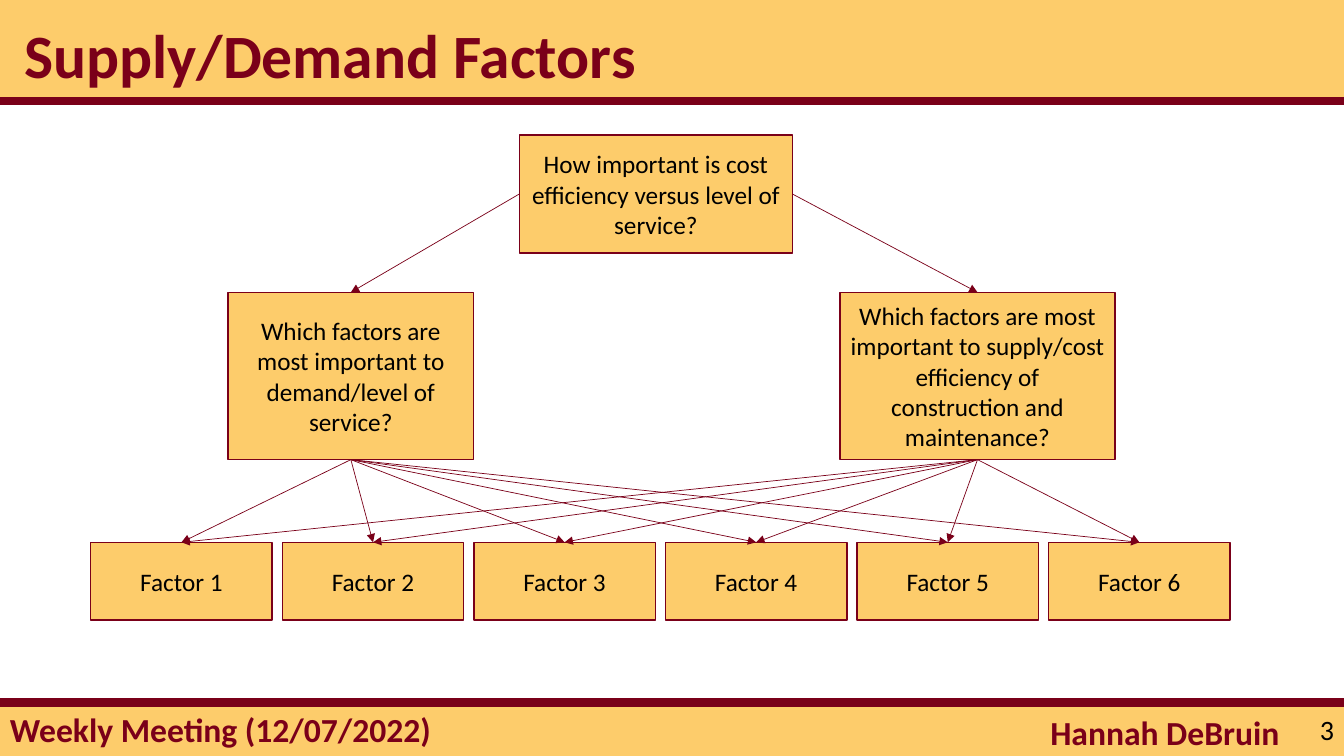
from lxml.etree import SubElement
from pptx import Presentation
from pptx.dml.color import RGBColor
from pptx.enum.shapes import MSO_CONNECTOR as Connector, MSO_SHAPE as Shape
from pptx.enum.text import MSO_ANCHOR as Anchor, MSO_AUTO_SIZE as AutoSize, PP_ALIGN as Align
from pptx.oxml.ns import qn
from pptx.util import Inches, Pt

TOP, LEFT, BOTTOM, RIGHT = range(4)
WIDTH, HEIGHT = 13.33, 7.5
HEADER_Y, FOOTER_Y = 1, 6.97


def color(hex_string):
    return RGBColor.from_string(hex_string)


class SlideBuilder:
    gold, maroon, black = "FDCC6B", "7A0019", "000000"
    font = "Calibri"

    def __init__(self, slide):
        self.slide = slide

    def set_text(self, shape, text, size, ink, bold=False, align=Align.LEFT,
                 anchor=Anchor.MIDDLE, spacing=1.0):
        frame = shape.text_frame
        frame.text = text
        frame_format = {"word_wrap": True, "auto_size": AutoSize.NONE,
                        "vertical_anchor": anchor}
        for name, value in frame_format.items():
            setattr(frame, name, value)
        paragraph = frame.paragraphs[0]
        for name, value in {"alignment": align, "line_spacing": spacing}.items():
            setattr(paragraph, name, value)
        font = paragraph.runs[0].font
        for name, value in {"name": self.font, "size": Pt(size), "bold": bold}.items():
            setattr(font, name, value)
        font.color.rgb = color(ink)

    def title(self, text, left, top, width, height):
        heading = self.slide.shapes.title
        place = {"left": left, "top": top, "width": width, "height": height}
        for name, value in place.items():
            setattr(heading, name, Inches(value))
        self.set_text(heading, text, 44, self.maroon, True, anchor=Anchor.TOP, spacing=0.9)
        # Bring the title in front of the bands
        self.slide.shapes._spTree.append(heading._element)

    def label(self, text, left, top, width, height, **style):
        box = self.slide.shapes.add_textbox(*map(Inches, (left, top, width, height)))
        self.set_text(box, text, **style)

    def rectangle(self, left, top, width, height):
        shape = self.slide.shapes.add_shape(
            Shape.RECTANGLE, *map(Inches, (left, top, width, height)))
        shape.shadow.inherit = False
        shape.fill.solid()
        shape.fill.fore_color.rgb = color(self.gold)
        shape.line.fill.background()
        return shape

    def box(self, text, left, top, width, height):
        shape = self.rectangle(left, top, width, height)
        shape.line.color.rgb = color(self.maroon)
        shape.line.width = Pt(1)
        self.set_text(shape, text, 18, self.black, align=Align.CENTER)
        return shape

    def line(self, weight, x1=0, y1=0, x2=0, y2=0):
        connector = self.slide.shapes.add_connector(
            Connector.STRAIGHT, *map(Inches, (x1, y1, x2, y2)))
        connector.line.color.rgb = color(self.maroon)
        connector.line.width = Pt(weight)
        SubElement(connector._element.spPr, qn("a:effectLst"))
        return connector

    def arrow(self, source, source_side, target):
        connector = self.line(0.5)
        connector.begin_connect(source, source_side)
        connector.end_connect(target, TOP)
        SubElement(connector.line._get_or_add_ln(), qn("a:tailEnd"), type="triangle")


def main():
    deck = Presentation()
    deck.slide_width, deck.slide_height = Inches(WIDTH), Inches(HEIGHT)
    page = SlideBuilder(deck.slides.add_slide(deck.slide_layouts[5]))

    # Header and footer bands
    page.rectangle(0, 0, WIDTH, HEADER_Y)
    page.rectangle(0, FOOTER_Y, WIDTH, HEIGHT - FOOTER_Y)
    page.title("Supply/Demand Factors", 0.14, 0.2, 11.52, 0.8)
    footer = {"size": 24, "ink": page.maroon, "bold": True, "spacing": 0.9}
    page.label("Weekly Meeting (12/07/2022)", 0, 7.02, 6.67, 0.48, **footer)
    page.label("Hannah DeBruin", 8.33, 7.02, 4.46, 0.53, align=Align.RIGHT, **footer)
    page.label("3", 10.33, FOOTER_Y, 3, 0.53, size=20, ink=page.black, align=Align.RIGHT)
    for rule_y in (FOOTER_Y, HEADER_Y):
        page.line(6, 0, rule_y, WIDTH, rule_y)

    # Questions
    tradeoff = page.box("How important is cost efficiency versus level of service?",
                        5.15, 1.34, 2.71, 1.17)
    demand = page.box("Which factors are most important to demand/level of service?",
                      2.26, 2.9, 2.44, 1.66)
    supply = page.box("Which factors are most important to supply/cost efficiency of "
                      "construction and maintenance?", 8.33, 2.9, 2.73, 1.66)

    # Factors in an even row
    factors = [page.box(f"Factor {i + 1}", 0.9 + 1.9 * i, 5.38, 1.8, 0.77)
               for i in range(6)]

    # Arrows down the tree
    for question in (demand, supply):
        for factor in factors:
            page.arrow(question, BOTTOM, factor)
    page.arrow(tradeoff, LEFT, demand)
    page.arrow(tradeoff, RIGHT, supply)

    deck.save("out.pptx")


if __name__ == "__main__":
    main()
